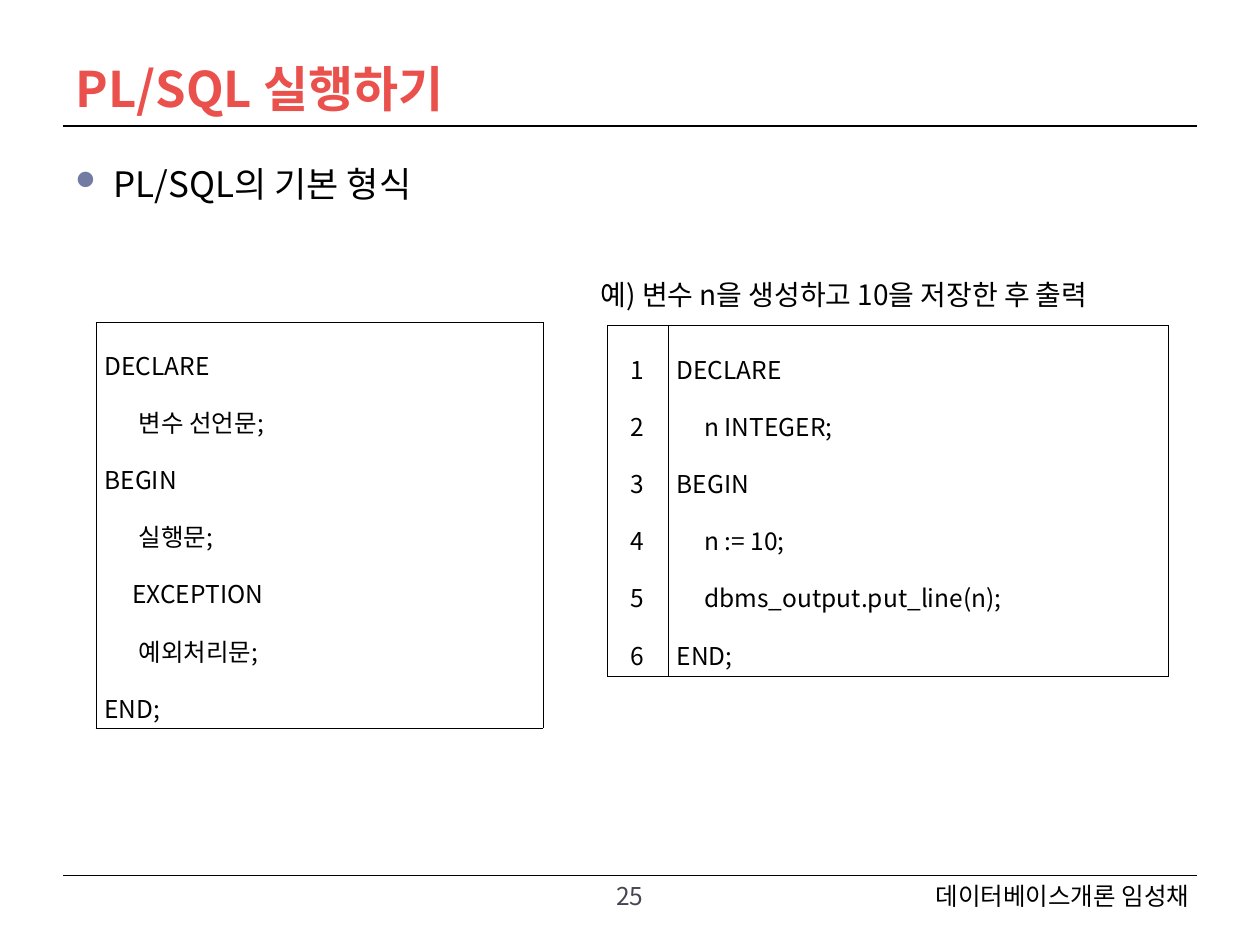
from lxml import etree
from pptx import Presentation
from pptx import util as u
from pptx.dml.color import RGBColor
from pptx.enum import shapes, text
from pptx.oxml import ns

FONT = "Noto Sans CJK KR"
BLACK = "000000"
CODE_INDENT = 0.22
HANGUL_INDENT = 0.27
ALIGN = text.PP_ALIGN
FORMAT_LINES = [(0, "DECLARE"), (HANGUL_INDENT, "변수 선언문;"), (0, "BEGIN"),
                (HANGUL_INDENT, "실행문;"), (CODE_INDENT, "EXCEPTION"),
                (HANGUL_INDENT, "예외처리문;"), (0, "END;")]
EXAMPLE_LINES = [(0, "DECLARE"), (CODE_INDENT, "n INTEGER;"), (0, "BEGIN"),
                 (CODE_INDENT, "n := 10;"), (CODE_INDENT, "dbms_output.put_line(n);"),
                 (0, "END;")]


def add_node(parent, tag, **attributes):
    """Append a DrawingML element and return it."""
    return etree.SubElement(parent, ns.qn(tag), **attributes)


def paint(color_format, color):
    """Apply a hex colour."""
    color_format.rgb = RGBColor.from_string(color)


def add_span(para, words, size, color=BLACK, bold=False):
    """Add one formatted run to a paragraph."""
    span = para.add_run()
    span.text = words
    span.font.size = u.Pt(size)
    span.font.bold = bold
    span.font.name = FONT
    paint(span.font.color, color)
    add_node(span.font._element, "a:ea", typeface=FONT)


def place(shape, left, top, width, height):
    """Move and size a shape in inches."""
    shape.left, shape.top = u.Inches(left), u.Inches(top)
    shape.width, shape.height = u.Inches(width), u.Inches(height)


def add_rule(slide, top):
    """Draw a full-width horizontal rule."""
    rule = slide.shapes.add_connector(shapes.MSO_CONNECTOR.STRAIGHT, u.Inches(0.5),
                                      u.Inches(top), u.Inches(9.5), u.Inches(top))
    paint(rule.line.color, BLACK)
    rule.line.width = u.Pt(0.75)
    add_node(rule._element.spPr, "a:effectLst")


def add_label(slide, bounds, words, size, color=BLACK, align=ALIGN.LEFT, wrap=True):
    """Add a one-line text box."""
    box = slide.shapes.add_textbox(*map(u.Inches, bounds))
    box.text_frame.word_wrap = wrap
    if not wrap:
        box.text_frame.auto_size = text.MSO_AUTO_SIZE.SHAPE_TO_FIT_TEXT
    para = box.text_frame.paragraphs[0]
    para.alignment = align
    add_span(para, words, size, color)


def set_title(slide, words):
    """Fill the title placeholder."""
    title = slide.shapes.title
    place(title, 0.5, 0.33, 9, 0.65)
    frame = title.text_frame
    frame.auto_size = text.MSO_AUTO_SIZE.NONE
    frame.vertical_anchor = text.MSO_ANCHOR.BOTTOM
    para = frame.paragraphs[0]
    para.alignment = ALIGN.LEFT
    add_span(para, words, 28, "EA504C", True)


def set_body(slide, words):
    """Fill the body placeholder with one bulleted line."""
    body = slide.placeholders[1]
    place(body, 0.5, 1.07, 9, 5.86)
    body.text_frame.auto_size = text.MSO_AUTO_SIZE.NONE
    para = body.text_frame.paragraphs[0]
    para.line_spacing = 1.5
    para.space_before = u.Pt(6)
    props = para._p.get_or_add_pPr()
    props.set("marL", str(u.Inches(0.3)))
    props.set("indent", str(u.Inches(-0.3)))
    add_node(add_node(props, "a:buClr"), "a:srgbClr", val="727CA3")
    add_node(props, "a:buSzPct", val="76000")
    add_node(props, "a:buFont", typeface="Wingdings", pitchFamily="2", charset="2")
    add_node(props, "a:buChar", char="l")
    add_span(para, words, 20)


def add_borders(cell):
    """Give a cell thin black borders on every side."""
    props = cell._tc.get_or_add_tcPr()
    for position, side in enumerate("LRTB"):
        line = add_node(props, f"a:ln{side}", w=str(u.Pt(0.28)))
        add_node(add_node(line, "a:solidFill"), "a:srgbClr", val=BLACK)
        props.insert(position, line)


def fill_cell(cell, lines, align):
    """Write indented code lines into a cell."""
    cell.fill.background()
    add_borders(cell)
    cell.vertical_anchor = text.MSO_ANCHOR.MIDDLE
    cell.margin_left = cell.margin_right = u.Inches(0.07)
    cell.margin_top = cell.margin_bottom = u.Inches(0.02)
    for number, (indent, words) in enumerate(lines):
        frame = cell.text_frame
        para = frame.add_paragraph() if number else frame.paragraphs[0]
        para.alignment = align
        para.line_spacing = 1.6
        if indent:
            para._p.get_or_add_pPr().set("marL", str(u.Inches(indent)))
        add_span(para, words, 14)


def add_code_table(slide, left, top, height, columns):
    """Add a one-row table from (width, lines, alignment) columns."""
    width = sum(column[0] for column in columns)
    frame = slide.shapes.add_table(1, len(columns), u.Inches(left), u.Inches(top),
                                   u.Inches(width), u.Inches(height))
    table = frame.table
    table.first_row = table.horz_banding = False
    for index, (column_width, lines, align) in enumerate(columns):
        table.columns[index].width = u.Inches(column_width)
        fill_cell(table.cell(0, index), lines, align)


def main():
    """Build and save the slide."""
    deck = Presentation()
    deck.slide_width, deck.slide_height = u.Inches(10), u.Inches(7.5)
    slide = deck.slides.add_slide(deck.slide_layouts[1])
    for top in (6.95, 1):
        add_rule(slide, top)
    set_title(slide, "PL/SQL 실행하기")
    set_body(slide, "PL/SQL의 기본 형식")
    add_label(slide, (5.71, 6.94, 3.83, 0.4), "데이터베이스개론 임성채", 14, align=ALIGN.RIGHT)
    add_label(slide, (4.7, 6.94, 0.6, 0.4), "25", 14, "464653", ALIGN.CENTER)
    add_code_table(slide, 0.76, 2.56, 3.22, [(3.55, FORMAT_LINES, ALIGN.JUSTIFY)])
    add_label(slide, (4.67, 2.15, 4.65, 0.37), "예) 변수 n을 생성하고 10을 저장한 후 출력",
              16, wrap=False)
    numbers = [(0, str(number + 1)) for number in range(len(EXAMPLE_LINES))]
    add_code_table(slide, 4.82, 2.58, 2.79, [(0.48, numbers, ALIGN.CENTER),
                                             (3.97, EXAMPLE_LINES, ALIGN.JUSTIFY)])
    deck.save("out.pptx")


main()
